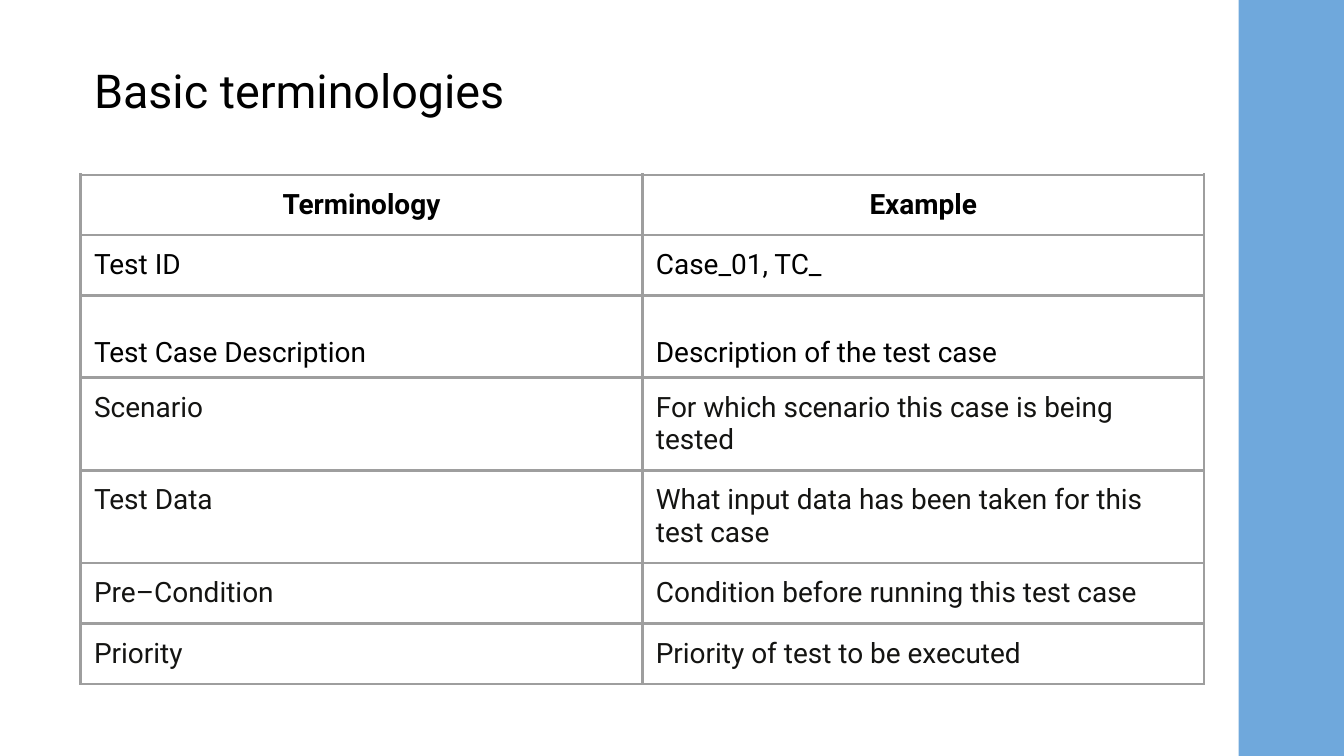
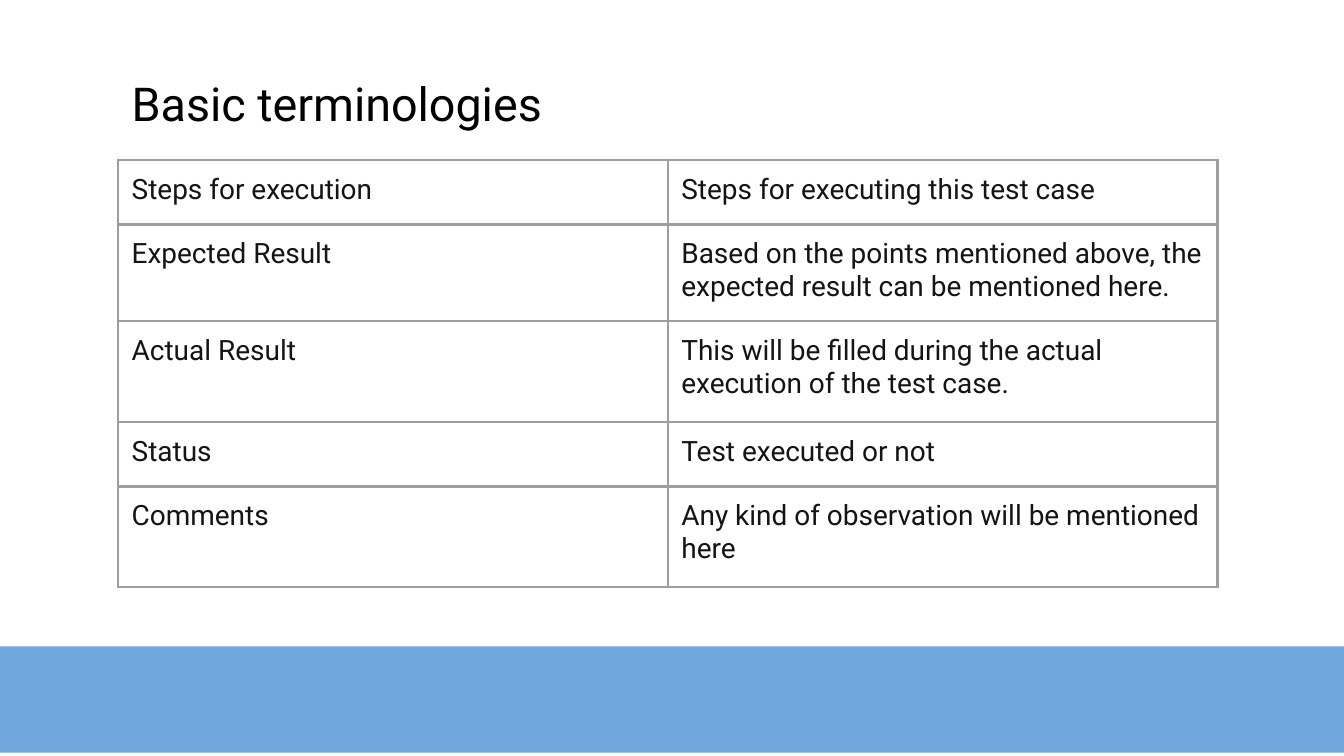
import dataclasses

import pptx
import pptx.dml.color
import pptx.enum.shapes
import pptx.enum.text
import pptx.oxml
import pptx.oxml.ns
import pptx.util

PX = 9144  # EMU per px, 100 px to the inch
TITLE_ONLY = 5


@dataclasses.dataclass(frozen=True)
class Theme:
    font: str = "Roboto"
    title_size: int = 25
    body_size: int = 15
    border_width: float = 1.5
    background: str = "FFFFFF"
    black: str = "000000"
    ink: str = "141412"
    band: str = "6FA8DC"
    border: str = "9E9E9E"


def rgb(color):
    return pptx.dml.color.RGBColor.from_string(color)


def px(*lengths):
    return [pptx.util.Emu(length * PX) for length in lengths]


class SlideBuilder:
    """Holds the theme and the slide being built."""

    def __init__(self, deck, theme):
        self.deck = deck
        self.theme = theme
        self.page = None

    def add_page(self):
        self.page = self.deck.slides.add_slide(self.deck.slide_layouts[TITLE_ONLY])
        fill = self.page.background.fill
        fill.solid()
        fill.fore_color.rgb = rgb(self.theme.background)

    def style(self, para, size, color, bold=False):
        for span in para.runs:
            span.font.name = self.theme.font
            span.font.size = pptx.util.Pt(size)
            span.font.bold = bold
            span.font.color.rgb = rgb(color)

    def title(self, text, left, top):
        box = self.page.shapes.title
        box.left, box.top, box.width, box.height = px(left, top, 932, 63)
        frame = box.text_frame
        frame.text = text
        frame.word_wrap = True
        frame.auto_size = pptx.enum.text.MSO_AUTO_SIZE.NONE
        frame.vertical_anchor = pptx.enum.text.MSO_ANCHOR.TOP
        frame.margin_left, frame.margin_top, frame.margin_right, frame.margin_bottom = px(10, 10, 10, 10)
        para = frame.paragraphs[0]
        para.alignment = pptx.enum.text.PP_ALIGN.LEFT
        para.space_before = pptx.util.Pt(15)
        para.space_after = pptx.util.Pt(8)
        self.style(para, self.theme.title_size, self.theme.black)

    def band(self, left, top, rotation=0):
        box = self.page.shapes.add_shape(
            pptx.enum.shapes.MSO_SHAPE.RECTANGLE, *px(left, top, 1002, 79))
        box.rotation = rotation
        box.shadow.inherit = False
        box.fill.solid()
        box.fill.fore_color.rgb = rgb(self.theme.band)
        box.line.fill.background()

    def table(self, left, top, column_width, row_heights, rows, header=False,
              black_rows=(), spaced_rows=()):
        size = px(left, top, 2 * column_width, sum(row_heights))
        table = self.page.shapes.add_table(len(rows), 2, *size).table
        table.first_row = header
        table.horz_banding = False
        for column in table.columns:
            column.width = px(column_width)[0]
        for index, (height, texts) in enumerate(zip(row_heights, rows)):
            table.rows[index].height = px(height)[0]
            color = self.theme.black if index in black_rows else self.theme.ink
            for cell, text in zip(table.rows[index].cells, texts):
                self.cell(cell, text, color, header and index == 0, index in spaced_rows)

    def cell(self, cell, text, color, heading, spaced):
        cell.fill.background()
        self.borders(cell)
        cell.margin_left, cell.margin_right = px(10, 10)
        cell.margin_top, cell.margin_bottom = px(6, 6) if spaced else px(10, 10)
        cell.text_frame.text = text
        para = cell.text_frame.paragraphs[0]
        align = pptx.enum.text.PP_ALIGN
        para.alignment = align.CENTER if heading else align.LEFT
        if spaced:
            para.line_spacing = 2.0
            para.space_after = pptx.util.Pt(15)
        self.style(para, self.theme.body_size, color, heading)

    def borders(self, cell):
        properties = cell._tc.get_or_add_tcPr()
        width = pptx.util.Pt(self.theme.border_width)
        for position, side in enumerate(("lnL", "lnR", "lnT", "lnB")):
            properties.insert(position, pptx.oxml.parse_xml(
                f'<a:{side} {pptx.oxml.ns.nsdecls("a")} w="{width}"><a:solidFill>'
                f'<a:srgbClr val="{self.theme.border}"/></a:solidFill></a:{side}>'))


def main():
    deck = pptx.Presentation()
    deck.slide_width = px(1000)[0]
    deck.slide_height = deck.slide_width * 9 // 16
    builder = SlideBuilder(deck, Theme())
    heading = "Basic terminologies"

    # Terms that identify a test case, band on the right
    builder.add_page()
    builder.title(heading, 60, 36)
    builder.band(460, 357, rotation=90)
    terms = [
        ("Terminology", "Example"),
        ("Test ID", "Case_01, TC_"),
        ("Test Case Description", "Description of the test case"),
        ("Scenario", "For which scenario this case is being tested"),
        ("Test Data", "What input data has been taken for this test case"),
        ("Pre–Condition", "Condition before running this test case"),
        ("Priority", "Priority of test to be executed"),
    ]
    builder.table(60, 130, 418, [45] * len(terms), terms, header=True,
                  black_rows=(0, 1, 2), spaced_rows=(2,))

    # Terms for running a test case, band at the bottom
    builder.add_page()
    builder.table(88, 119, 409, [48, 72, 75, 48, 75], [
        ("Steps for execution", "Steps for executing this test case"),
        ("Expected Result",
         "Based on the points mentioned above, the expected result can be mentioned here."),
        ("Actual Result",
         "This will be filled during the actual execution of the test case."),
        ("Status", "Test executed or not"),
        ("Comments", "Any kind of observation will be mentioned here"),
    ])
    builder.title(heading, 88, 46)
    builder.band(-1, 481)

    deck.save("out.pptx")


if __name__ == "__main__":
    main()
